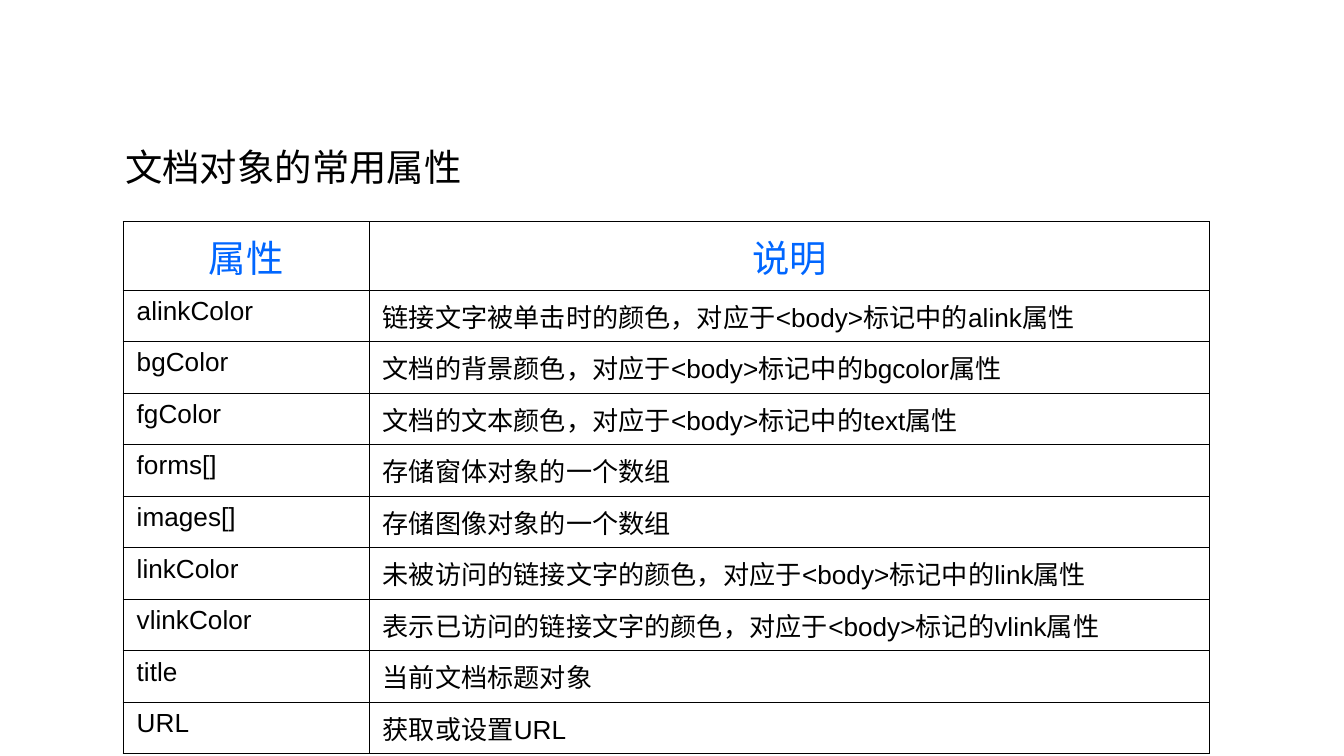
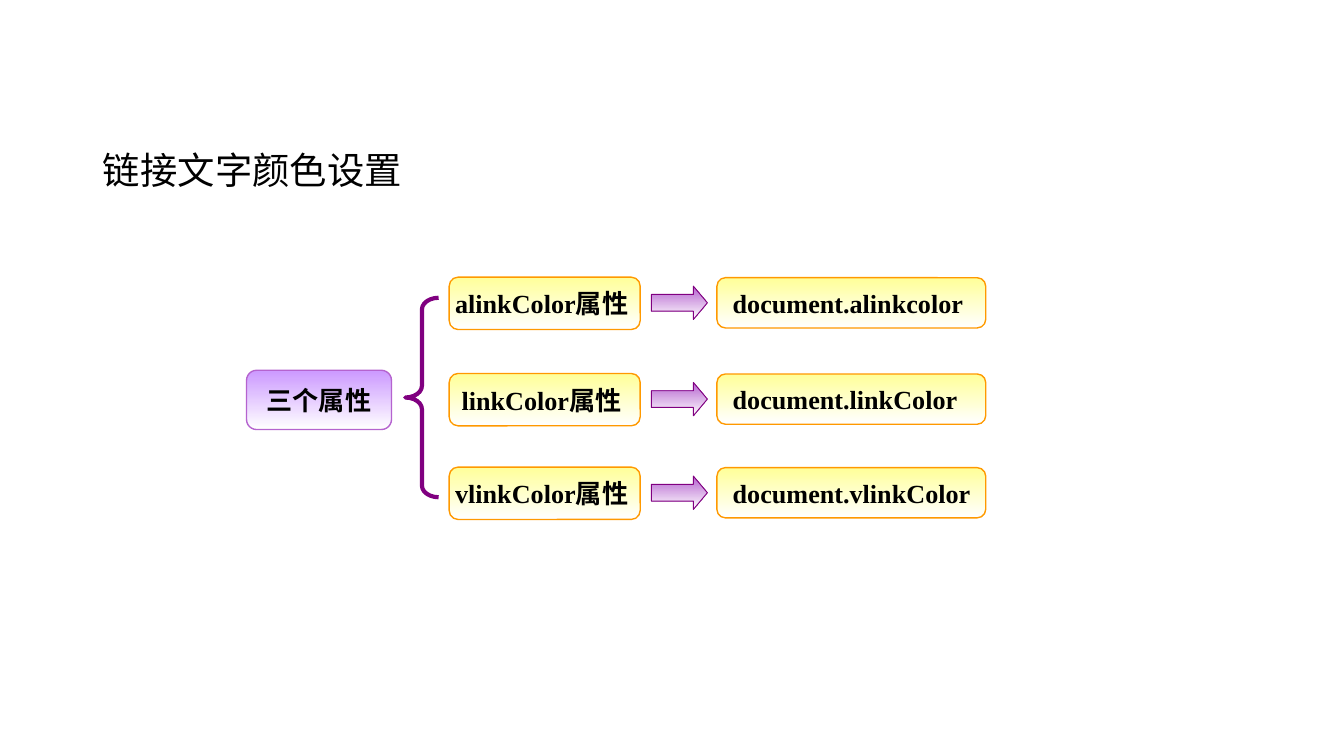
from lxml import etree
from pptx import Presentation
from pptx.dml.color import RGBColor
from pptx.enum.shapes import MSO_SHAPE
from pptx.enum.text import MSO_ANCHOR, MSO_AUTO_SIZE, PP_ALIGN
from pptx.oxml.ns import qn
from pptx.util import Cm, Pt

LEFT, CENTER = PP_ALIGN.LEFT, PP_ALIGN.CENTER
TOP, MIDDLE = MSO_ANCHOR.TOP, MSO_ANCHOR.MIDDLE
FIT_SHAPE = MSO_AUTO_SIZE.SHAPE_TO_FIT_TEXT
ROUND_RECT = MSO_SHAPE.ROUNDED_RECTANGLE
ARROW, BRACE = MSO_SHAPE.RIGHT_ARROW, MSO_SHAPE.LEFT_BRACE

COLORS = {
    "text": "000000", "header": "0066FF", "white": "FFFFFF",
    "lilac": "CC99FF", "violet": "B563CF", "purple": "800080",
    "yellow": "FFFF99", "orange": "FF9900",
}
TITLE_FONT = {"name": "Times New Roman", "size": Pt(20), "bold": False}
HEADER_FONT = {"name": "Arial", "size": Pt(20), "bold": False}
CELL_FONT = {"name": "Arial", "size": Pt(14), "bold": False}
BOX_FONT = {"name": "Times New Roman", "size": Pt(14), "bold": True}


def write(tf, text, font, color="text", align=LEFT, anchor=MIDDLE):
    """Put one formatted line of text into a text frame."""
    tf.vertical_anchor = anchor
    p = tf.paragraphs[0]
    p.alignment = align
    r = p.add_run()
    r.text = text
    for name, value in font.items():
        setattr(r.font, name, value)
    r.font.color.rgb = RGBColor.from_string(COLORS[color])


def add_box(s, kind, x, y, w, h, adj, top_color, line, width, text="", align=CENTER):
    """Add a shape that fades to white; without a top colour it stays open."""
    sp = s.shapes.add_shape(kind, Cm(x), Cm(y), Cm(w), Cm(h))
    sp.shadow.inherit = False
    for i, value in enumerate(adj):
        sp.adjustments[i] = value
    if top_color:
        sp.fill.gradient()
        sp.fill.gradient_angle = 270
        for stop, color in zip(sp.fill.gradient_stops, (top_color, "white")):
            stop.color.rgb = RGBColor.from_string(COLORS[color])
    else:
        sp.fill.background()
    sp.line.color.rgb = RGBColor.from_string(COLORS[line])
    sp.line.width = Pt(width)
    if text:
        sp.text_frame.word_wrap = False
        write(sp.text_frame, text, BOX_FONT, align=align)


prs = Presentation()
prs.slide_width, prs.slide_height = Cm(25.4), Cm(14.29)

# Slides and their titles
slides = []
for title, x, y, w in [("文档对象的常用属性", 2.11, 2.59, 12.07),
                       ("链接文字颜色设置", 1.69, 2.65, 7.42)]:
    s = prs.slides.add_slide(prs.slide_layouts[5])
    sp = s.shapes.title
    sp.left, sp.top, sp.width, sp.height = Cm(x), Cm(y), Cm(w), Cm(1.12)
    sp.text_frame.auto_size = FIT_SHAPE
    write(sp.text_frame, title, TITLE_FONT, anchor=TOP)
    slides.append(s)
table_slide, diagram_slide = slides

# Slide 1: table of document properties
rows = [
    ("属性", "说明"),
    ("alinkColor", "链接文字被单击时的颜色，对应于<body>标记中的alink属性"),
    ("bgColor", "文档的背景颜色，对应于<body>标记中的bgcolor属性"),
    ("fgColor", "文档的文本颜色，对应于<body>标记中的text属性"),
    ("forms[]", "存储窗体对象的一个数组"),
    ("images[]", "存储图像对象的一个数组"),
    ("linkColor", "未被访问的链接文字的颜色，对应于<body>标记中的link属性"),
    ("vlinkColor", "表示已访问的链接文字的颜色，对应于<body>标记的vlink属性"),
    ("title", "当前文档标题对象"),
    ("URL", "获取或设置URL"),
]
header_height, body_height = Cm(1.29), Cm(8.77)
table = table_slide.shapes.add_table(
    len(rows), 2, Cm(2.33), Cm(4.19), Cm(20.53), header_height + body_height).table
table.first_row = table.horz_banding = False
table.columns[0].width, table.columns[1].width = Cm(4.65), Cm(15.88)
for i, row in enumerate(rows):
    table.rows[i].height = body_height // (len(rows) - 1) if i else header_height
    for j, text in enumerate(row):
        cell = table.cell(i, j)
        cell.fill.background()
        if i == 0:
            write(cell.text_frame, text, HEADER_FONT, "header", CENTER)
            cell.vertical_anchor = MIDDLE
        else:
            write(cell.text_frame, text, CELL_FONT)
            cell.vertical_anchor = TOP
        # Outer borders are heavier than inner ones
        outer = {"lnL": j == 0, "lnR": j == 1, "lnT": i == 0, "lnB": i == len(rows) - 1}
        tc_pr = cell._tc.get_or_add_tcPr()
        for k, (side, is_outer) in enumerate(outer.items()):
            ln = etree.Element(qn("a:" + side), w=str(Pt(0.75 if is_outer else 0.45)))
            fill = etree.SubElement(ln, qn("a:solidFill"))
            etree.SubElement(fill, qn("a:srgbClr"), val=COLORS["text"])
            tc_pr.insert(k, ln)

# Slide 2: root box and brace
s = diagram_slide
add_box(s, ROUND_RECT, 4.66, 7, 2.74, 1.12, [0.17], "lilac", "violet", 0.75, "三个属性")
add_box(s, BRACE, 7.66, 5.63, 0.63, 3.77, [0.35, 0.5], None, "purple", 2.25)

# Slide 2: one row for each property
links = [(5.24, "alinkColor属性 ", "document.alinkcolor"),
         (7.06, "linkColor属性 ", "document.linkColor"),
         (8.83, "vlinkColor属性 ", "document.vlinkColor")]
for y, name, code in links:
    add_box(s, ROUND_RECT, 8.49, y, 3.61, 0.99, [0.17], "yellow", "orange", 0.75, name)
    add_box(s, ARROW, 12.31, y + 0.17, 1.06, 0.63, [0.5, 0.42], "violet", "purple", 0.5)
    add_box(s, ROUND_RECT, 13.55, y + 0.01, 5.08, 0.95, [0.17], "yellow", "orange", 0.75,
            code, LEFT)

prs.save("out.pptx")
